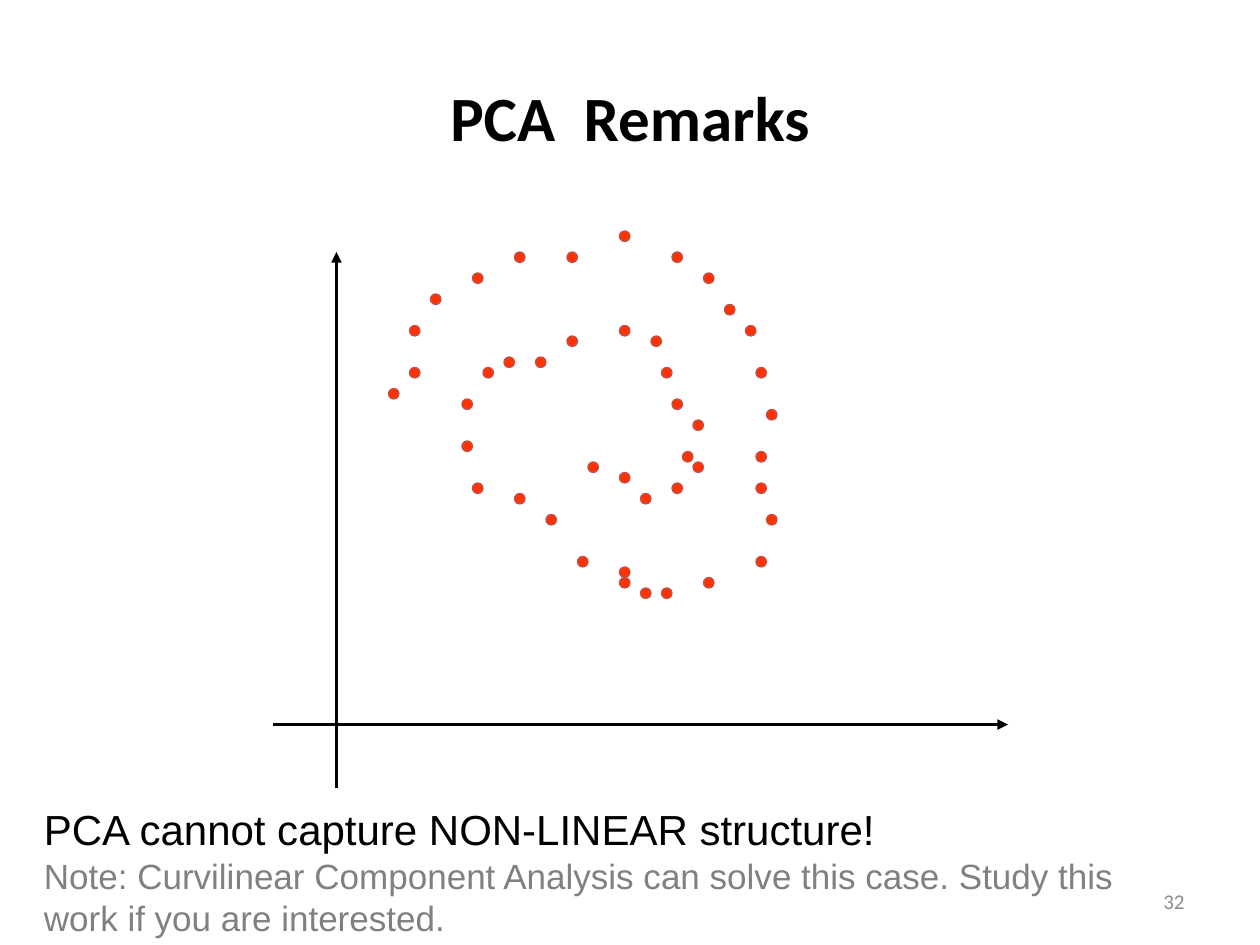
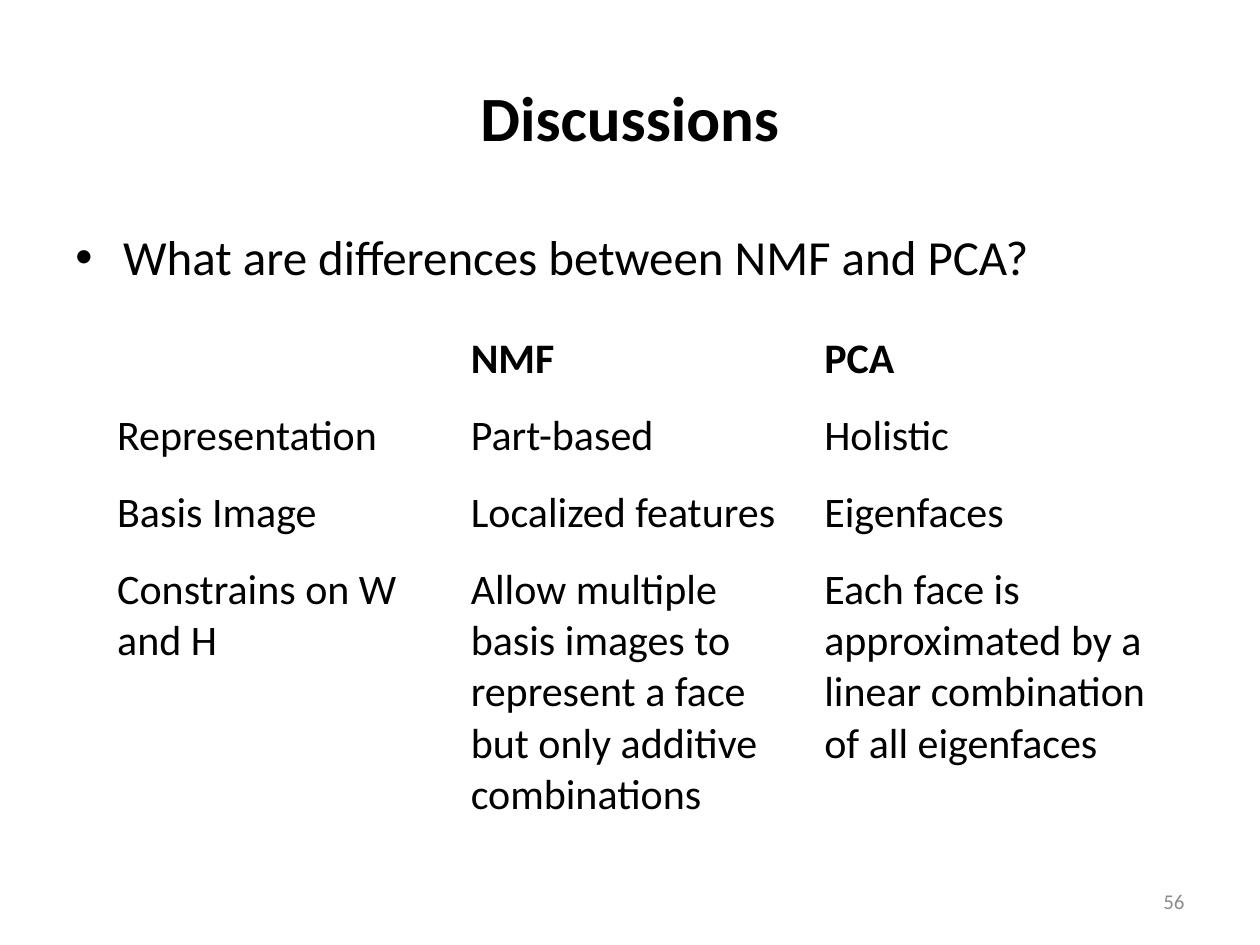
"""Builds two lecture slides: PCA remarks and a comparison of NMF with PCA."""
from dataclasses import dataclass

from lxml.etree import SubElement
from pptx import Presentation
from pptx.dml.color import RGBColor
from pptx.enum.shapes import MSO_CONNECTOR, MSO_SHAPE
from pptx.enum.text import MSO_ANCHOR, PP_ALIGN
from pptx.oxml.ns import qn
from pptx.util import Inches, Pt


@dataclass(frozen=True)
class Theme:
    heading_font: str = "Calibri"
    note_font: str = "Arial"
    ink: str = "000000"
    muted: str = "808080"
    footer: str = "8C8C8C"
    dot_fill: str = "FF3300"
    dot_line: str = "C0504D"
    title_size: int = 36
    bullet_size: int = 28
    text_size: int = 24
    note_size: int = 20
    footer_size: int = 12
    axis_width: float = 2
    dot_width: float = 0.75


@dataclass(frozen=True)
class Area:
    left: float
    top: float
    width: float
    height: float

    def lengths(self) -> tuple:
        return tuple(Inches(n) for n in (self.left, self.top, self.width, self.height))


@dataclass(frozen=True)
class Style:
    size: int
    font: str
    color: str
    bold: bool = False
    align: PP_ALIGN = PP_ALIGN.LEFT


@dataclass(frozen=True)
class Axis:
    start: tuple[float, float]
    end: tuple[float, float]


THEME = Theme()
TITLE = Style(THEME.title_size, THEME.heading_font, THEME.ink, True, PP_ALIGN.CENTER)
FOOTER = Style(THEME.footer_size, THEME.heading_font, THEME.footer, align=PP_ALIGN.RIGHT)
BULLET = Style(THEME.bullet_size, THEME.heading_font, THEME.ink)
HEADER = Style(THEME.text_size, THEME.heading_font, THEME.ink, True)
CELL = Style(THEME.text_size, THEME.heading_font, THEME.ink)
REMARK = Style(THEME.text_size, THEME.note_font, THEME.ink)
NOTE = Style(THEME.note_size, THEME.note_font, THEME.muted)

AXES = (Axis((2.67, 6.25), (2.67, 2)), Axis((2.17, 5.75), (8, 5.75)))

GRID_STEP = 1 / 12
SPIRAL = (
    (37, 37), (39, 35), (39, 31), (41, 28), (45, 26), (49, 24), (54, 24), (59, 22),
    (64, 24), (67, 26), (69, 29), (71, 31), (72, 35), (73, 39), (72, 43), (72, 46),
    (73, 49), (72, 53), (67, 55), (63, 56), (61, 56), (59, 55), (59, 54), (55, 53),
    (52, 49), (49, 47), (45, 46), (44, 42), (44, 38), (46, 35), (48, 34), (51, 34),
    (54, 32), (59, 31), (62, 32), (63, 35), (64, 38), (66, 40), (65, 43), (66, 44),
    (64, 46), (61, 47), (59, 45), (56, 44),
)

COMPARISON = (
    ("", "NMF", "PCA"),
    ("Representation", "Part-based", "Holistic"),
    ("Basis Image", "Localized features", "Eigenfaces"),
    (
        "Constrains on W and H",
        "Allow multiple basis images to represent a face but only additive combinations",
        "Each face is approximated by a linear combination of all eigenfaces",
    ),
)
ROW_HEIGHTS = (0.61, 0.61, 0.61, 2.4)


def write(para, text: str, style: Style) -> None:
    """Put styled text in a paragraph."""
    para.text = text
    para.alignment = style.align
    font = para.font
    font.size, font.name, font.bold = Pt(style.size), style.font, style.bold
    font.color.rgb = RGBColor.from_string(style.color)


def add_text(page, area: Area, lines: list[tuple[str, Style]], anchor=MSO_ANCHOR.TOP):
    """Add a wrapping text box with one paragraph per line and return its frame."""
    frame = page.shapes.add_textbox(*area.lengths()).text_frame
    frame.word_wrap = True
    frame.vertical_anchor = anchor
    for index, (text, style) in enumerate(lines):
        para = frame.add_paragraph() if index else frame.paragraphs[0]
        write(para, text, style)
    return frame


def add_page(deck, title: str, number: int):
    """Add a blank page with the shared title and page number."""
    page = deck.slides.add_slide(deck.slide_layouts[6])
    add_text(page, Area(0.5, 0.3, 9, 1.25), [(title, TITLE)], MSO_ANCHOR.MIDDLE)
    add_text(page, Area(7.17, 6.95, 2.33, 0.4), [(str(number), FOOTER)], MSO_ANCHOR.MIDDLE)
    return page


def add_axis(page, axis: Axis) -> None:
    """Draw an axis with an arrowhead at its end."""
    points = (Inches(n) for n in (*axis.start, *axis.end))
    line = page.shapes.add_connector(MSO_CONNECTOR.STRAIGHT, *points)
    line.line.color.rgb = RGBColor.from_string(THEME.ink)
    line.line.width = Pt(THEME.axis_width)
    SubElement(line.line._get_or_add_ln(), qn("a:tailEnd"), type="triangle")
    SubElement(line._element.spPr, qn("a:effectLst"))


def add_dot(page, column: int, row: int) -> None:
    """Draw a data point at a grid position."""
    area = Area(column * GRID_STEP, row * GRID_STEP, GRID_STEP, GRID_STEP)
    dot = page.shapes.add_shape(MSO_SHAPE.OVAL, *area.lengths())
    dot.shadow.inherit = False
    dot.fill.solid()
    dot.fill.fore_color.rgb = RGBColor.from_string(THEME.dot_fill)
    dot.line.color.rgb = RGBColor.from_string(THEME.dot_line)
    dot.line.width = Pt(THEME.dot_width)


def add_bullet(page, area: Area, text: str) -> None:
    """Add a bulleted line with a hanging indent."""
    para = add_text(page, area, [("", BULLET)]).paragraphs[0]
    para._p.remove(para._p.pPr)
    properties = para._p.get_or_add_pPr()
    indent = Inches(0.38)
    properties.set("marL", str(indent))
    properties.set("indent", str(-indent))
    SubElement(properties, qn("a:buFont"), typeface=THEME.note_font)
    SubElement(properties, qn("a:buChar"), char="•")
    write(para, text, BULLET)


def add_comparison(page, area: Area) -> None:
    """Add the plain comparison table."""
    shape = page.shapes.add_table(len(COMPARISON), len(COMPARISON[0]), *area.lengths())
    table = shape.table
    table.first_row = table.horz_banding = False
    for row, height in zip(table.rows, ROW_HEIGHTS):
        row.height = Inches(height)
    for row_index, texts in enumerate(COMPARISON):
        for column_index, text in enumerate(texts):
            cell = table.cell(row_index, column_index)
            cell.fill.background()
            write(cell.text_frame.paragraphs[0], text, CELL if row_index else HEADER)


def build_remarks(deck) -> None:
    """Build the page with the spiral of data points."""
    page = add_page(deck, "PCA  Remarks", 32)
    for axis in AXES:
        add_axis(page, axis)
    for column, row in SPIRAL:
        add_dot(page, column, row)
    add_text(page, Area(0.25, 6.33, 9.33, 1.17), [
        ("PCA cannot capture NON-LINEAR structure!", REMARK),
        ("Note: Curvilinear Component Analysis can solve this case. "
         "Study this work if you are interested.", NOTE),
    ])


def build_discussions(deck) -> None:
    """Build the page comparing NMF and PCA."""
    page = add_page(deck, "Discussions", 56)
    add_bullet(page, Area(0.5, 1.75, 9, 4.95), "What are differences between NMF and PCA?")
    add_comparison(page, Area(0.83, 2.6, 8.42, sum(ROW_HEIGHTS)))


def main() -> None:
    """Build and save the deck."""
    deck = Presentation()
    deck.slide_width, deck.slide_height = Inches(10), Inches(7.5)
    build_remarks(deck)
    build_discussions(deck)
    deck.save("out.pptx")


if __name__ == "__main__":
    main()
